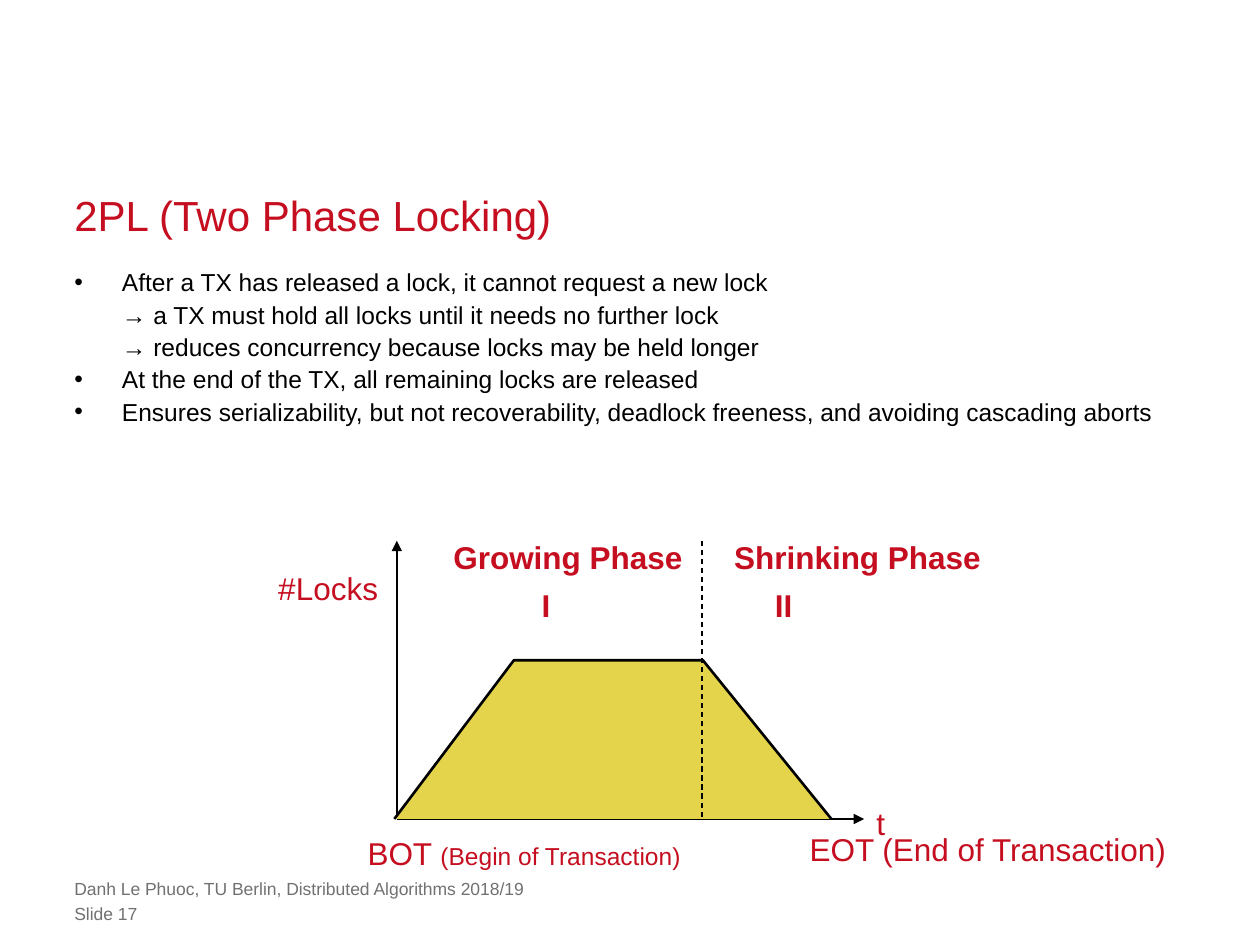
from lxml.etree import SubElement
from pptx import Presentation
from pptx.dml.color import RGBColor
from pptx.enum.dml import MSO_LINE_DASH_STYLE as Dash
from pptx.enum.shapes import MSO_CONNECTOR as Connector
from pptx.enum.text import MSO_ANCHOR as Anchor, MSO_AUTO_SIZE as AutoSize, PP_ALIGN as Align
from pptx.oxml.ns import qn
from pptx.util import Cm, Pt

RED = RGBColor(0xC5, 0x0E, 0x1F)
BLACK = RGBColor(0, 0, 0)
GREY = RGBColor(0x71, 0x71, 0x71)
YELLOW = RGBColor(0xE4, 0xD4, 0x4C)
FONT = "Arial"

# Content; all positions are in centimetres
MARGIN, CONTENT_WIDTH = 1.5, 22.4
TITLE = "2PL (Two Phase Locking)"
BULLETS = [
    ["After a TX has released a lock, it cannot request a new lock ",
     "→ a TX must hold all locks until it needs no further lock ",
     "→ reduces concurrency because locks may be held longer"],
    ["At the end of the TX, all remaining locks are released"],
    ["Ensures serializability, but not recoverability, deadlock freeness, "
     "and avoiding cascading aborts"],
]
FOOTER = [
    (17.7, "Danh Le Phuoc, TU Berlin, Distributed Algorithms 2018/19"),
    (18.21, "Slide 17"),
]

# Diagram: axes, locks held over time, and labels
ORIGIN_X, BASE_Y = 8, 16.51
AXIS_TOP, AXIS_END = 10.9, 17.42
DIVIDER_X = 14.15
LOCK_CURVE = [(7.95, BASE_Y), (10.36, 13.31), (14.17, 13.31), (16.76, BASE_Y)]
LABEL_HEIGHT = 1.02
LABELS = [  # left, top, width, bold, alignment, [(text, size)]
    (5.36, 11.35, 2.6, False, Align.LEFT, [("#Locks", 18)]),
    (AXIS_END, 16.08, 0.69, False, Align.LEFT, [("t", 18)]),
    (7.16, 16.69, 6.86, False, Align.LEFT,
     [("BOT ", 18), ("(Begin of Transaction)", 14)]),
    (16.03, 16.61, 7.77, False, Align.CENTER, [("EOT (End of Transaction)", 18)]),
    (10.67, 11.68, 0.69, True, Align.LEFT, [("I", 18)]),
    (15.37, 11.68, 0.86, True, Align.LEFT, [("II", 18)]),
    (8.89, 10.72, 5.13, True, Align.LEFT, [("Growing Phase", 18)]),
    (14.55, 10.72, 5.49, True, Align.LEFT, [("Shrinking Phase", 18)]),
]


def add_text_frame(slide, left, top, width, height, label=False):
    box = slide.shapes.add_textbox(Cm(left), Cm(top), Cm(width), Cm(height))
    frame = box.text_frame
    frame.word_wrap = not label
    if label:
        frame.auto_size = AutoSize.SHAPE_TO_FIT_TEXT
    else:
        frame.margin_left = frame.margin_right = 0
        frame.margin_top = frame.margin_bottom = 0
    return frame


def add_run(paragraph, text, size, color, bold=False):
    run = paragraph.add_run()
    run.text = text
    run.font.name = FONT
    run.font.size = Pt(size)
    run.font.bold = bold
    run.font.color.rgb = color


def add_bullet(paragraph):
    properties = paragraph._p.get_or_add_pPr()
    properties.set("marL", str(Cm(0.96)))
    properties.set("indent", str(-Cm(0.96)))
    SubElement(properties, qn("a:buFont"), typeface=FONT)
    SubElement(properties, qn("a:buChar"), char="•")


def add_line(slide, start, end, width, arrow=False):
    x1, y1, x2, y2 = (Cm(value) for value in (*start, *end))
    connector = slide.shapes.add_connector(Connector.STRAIGHT, x1, y1, x2, y2)
    connector.line.color.rgb = BLACK
    connector.line.width = Pt(width)
    if arrow:
        SubElement(connector.line._get_or_add_ln(), qn("a:tailEnd"), type="triangle")
    SubElement(connector._element.spPr, qn("a:effectLst"))
    return connector


def add_lock_curve(slide):
    points = [(Cm(x), Cm(y)) for x, y in LOCK_CURVE]
    builder = slide.shapes.build_freeform(*points[0])
    builder.add_line_segments(points[1:], close=False)
    curve = builder.convert_to_shape()
    curve.shadow.inherit = False
    curve.fill.solid()
    curve.fill.fore_color.rgb = YELLOW
    curve.line.color.rgb = BLACK
    curve.line.width = Pt(1.5)


def main():
    presentation = Presentation()
    presentation.slide_width, presentation.slide_height = Cm(25.4), Cm(19.05)
    slide = presentation.slides.add_slide(presentation.slide_layouts[6])

    # Title
    frame = add_text_frame(slide, MARGIN, 3.76, CONTENT_WIDTH, 1.07)
    frame.vertical_anchor = Anchor.BOTTOM
    frame.paragraphs[0].line_spacing = Pt(30)
    add_run(frame.paragraphs[0], TITLE, 24, RED)

    # Bullets
    frame = add_text_frame(slide, MARGIN, 5.33, CONTENT_WIDTH, 11.3)
    for index, lines in enumerate(BULLETS):
        paragraph = frame.add_paragraph() if index else frame.paragraphs[0]
        add_bullet(paragraph)
        paragraph.line_spacing = 1.1
        for number, line in enumerate(lines):
            if number:
                paragraph.add_line_break()
            add_run(paragraph, line, 14, BLACK)

    # Diagram
    origin = (ORIGIN_X, BASE_Y)
    for tip in [(ORIGIN_X, AXIS_TOP), (AXIS_END, BASE_Y)]:
        add_line(slide, origin, tip, 1.5, arrow=True)
    add_lock_curve(slide)
    divider = add_line(slide, (DIVIDER_X, AXIS_TOP), (DIVIDER_X, BASE_Y), 0.75)
    divider.line.dash_style = Dash.DASH
    for left, top, width, bold, alignment, runs in LABELS:
        frame = add_text_frame(slide, left, top, width, LABEL_HEIGHT, label=True)
        paragraph = frame.paragraphs[0]
        paragraph.alignment = alignment
        for text, size in runs:
            add_run(paragraph, text, size, RED, bold)

    # Footer
    for top, text in FOOTER:
        frame = add_text_frame(slide, MARGIN, top, 18.4, 0.43)
        add_run(frame.paragraphs[0], text, 10, GREY)

    presentation.save("out.pptx")


if __name__ == "__main__":
    main()
